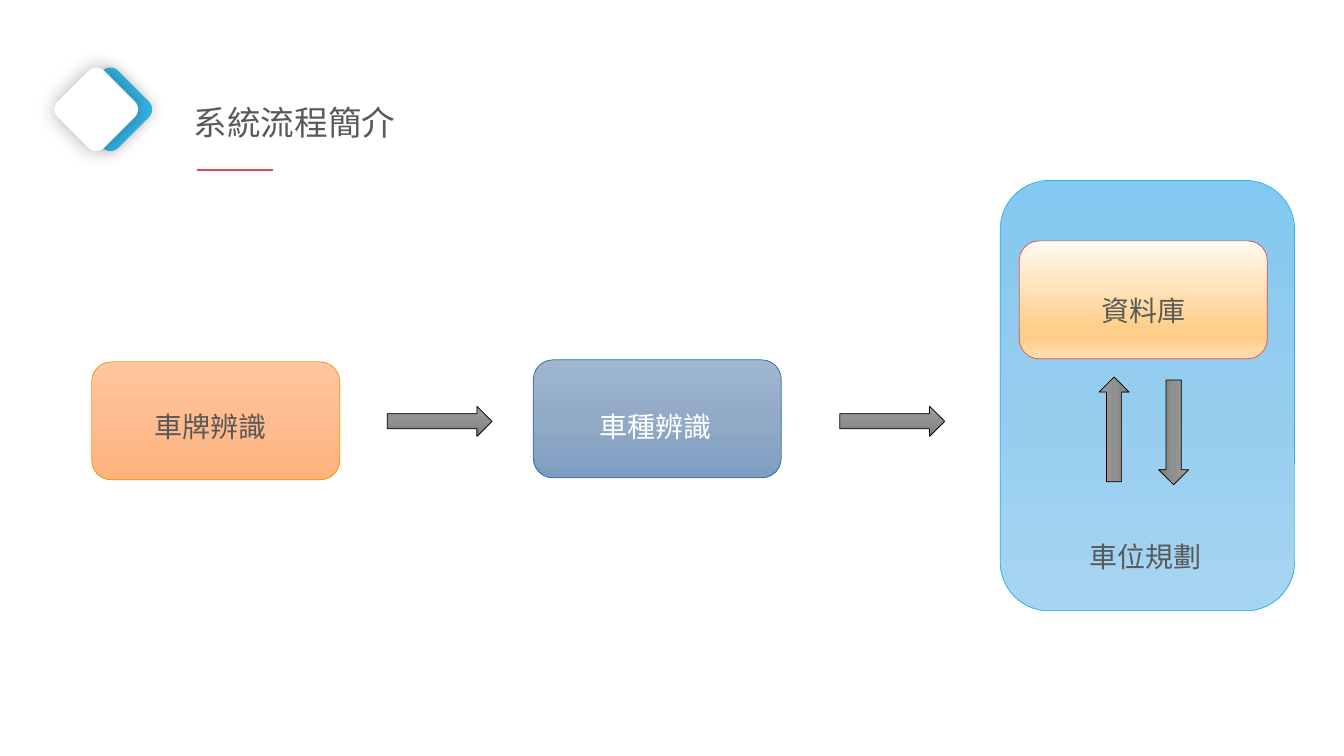
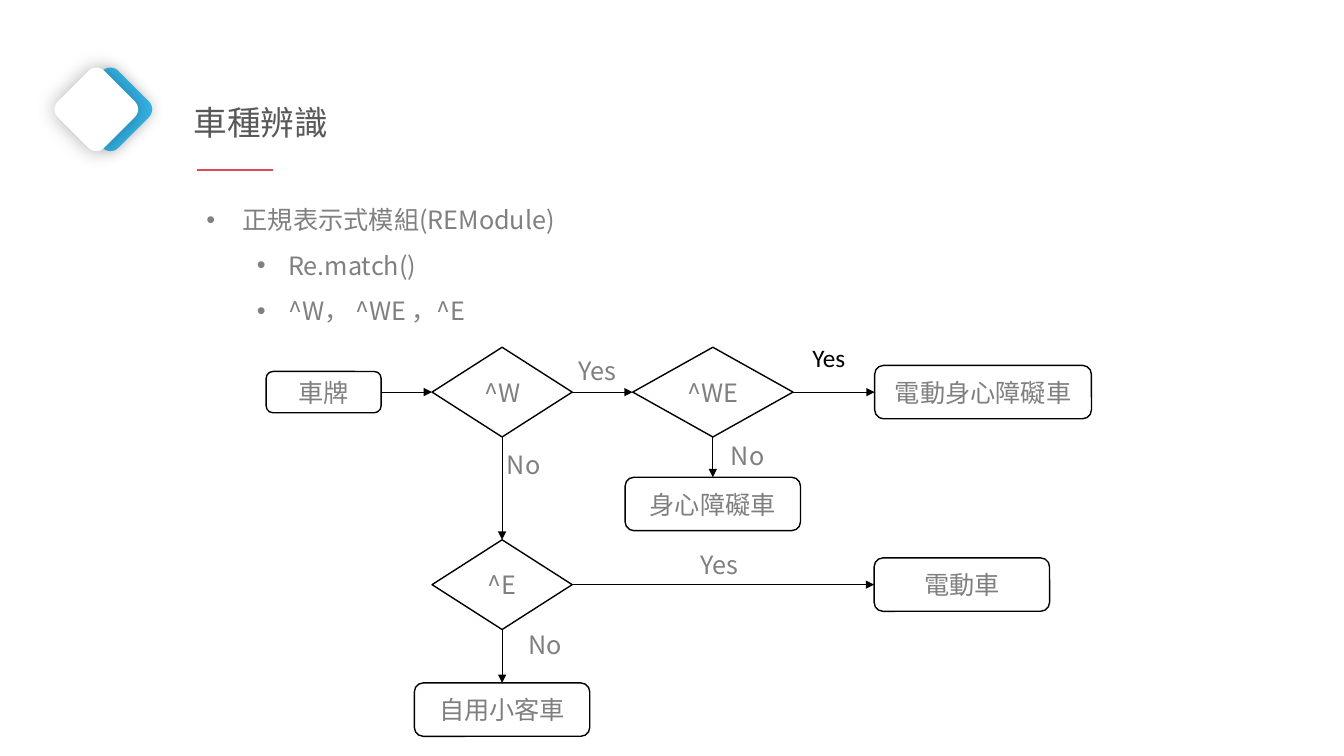
import pptx
import pptx.util
import pptx.dml.color
import pptx.enum.shapes
import pptx.enum.text
import pptx.oxml.ns
from lxml import etree

Inches = pptx.util.Inches
Pt = pptx.util.Pt
qn = pptx.oxml.ns.qn
SHAPES = pptx.enum.shapes.MSO_SHAPE
ALIGN = pptx.enum.text.PP_ALIGN
ANCHOR = pptx.enum.text.MSO_ANCHOR

LATIN = "Calibri"
CJK = "Noto Sans CJK SC"
COLOURS = {
    "text": "595959",
    "bullet": "808080",
    "node": "7F7F7F",
    "black": "000000",
    "white": "FFFFFF",
    "blue": "34B2E4",
    "red": "E14956",
    "orange": "F99302",
    "navy": "2070A1",
}
GRADIENTS = {
    "peach": [(0, "FFC59E"), (50, "FFBC90"), (100, "FFB37C")],
    "steel": [(0, "9FB6D1"), (50, "92AAC6"), (100, "7D9EC2")],
    "grey": [(0, "9D9D9D"), (50, "909090"), (100, "7C7C7C")],
    "sky": [(0, "82C8F0"), (50, "95CDEE"), (100, "A6D5F2")],
    "cream": [(0, "FFFAF2"), (74, "FECF8B"), (83, "FECF8B"), (100, "FEDFB2")],
}
TOP, LEFT, BOTTOM, RIGHT = range(4)


def colour(name):
    return pptx.dml.color.RGBColor.from_string(COLOURS[name])


def format_font(para, size, name, tint):
    para.font.size = Pt(size)
    para.font.name = name
    para.font.color.rgb = colour(tint)


def fill_gradient(shape, name):
    shape.fill.gradient()
    shape.fill.gradient_angle = 270
    stops = shape.element.spPr.find(".//" + qn("a:gsLst"))
    for stop in list(stops):
        stops.remove(stop)
    for position, value in GRADIENTS[name]:
        stop = etree.SubElement(stops, qn("a:gs"), pos=str(position * 1000))
        etree.SubElement(stop, qn("a:srgbClr"), val=value)


def add_shape(page, kind, at, fill=None, line=None, width=0.5, rotation=0):
    shape = page.shapes.add_shape(kind, *map(Inches, at))
    shape.shadow.inherit = False
    shape.rotation = rotation
    if fill in GRADIENTS:
        fill_gradient(shape, fill)
    elif fill:
        shape.fill.solid()
        shape.fill.fore_color.rgb = colour(fill)
    else:
        shape.fill.background()
    if line:
        shape.line.color.rgb = colour(line)
        shape.line.width = Pt(width)
    else:
        shape.line.fill.background()
    return shape


def add_glow(shape, opacity, blur):
    effects = shape.element.spPr.find(qn("a:effectLst"))
    shadow = etree.SubElement(effects, qn("a:outerShdw"), blurRad=str(Pt(blur)),
                              dist="0", dir="0", algn="ctr", rotWithShape="0")
    tint = etree.SubElement(shadow, qn("a:srgbClr"), val=COLOURS["black"])
    etree.SubElement(tint, qn("a:alpha"), val=str(opacity * 1000))


def add_line(page, start, end, tint, width):
    line = page.shapes.add_connector(pptx.enum.shapes.MSO_CONNECTOR.STRAIGHT,
                                     *map(Inches, start + end))
    line.line.color.rgb = colour(tint)
    line.line.width = Pt(width)
    etree.SubElement(line.element.spPr, qn("a:effectLst"))
    return line


def add_arrow(page, source, source_site, target, target_site):
    arrow = add_line(page, (0, 0), (0, 0), "black", 0.5)
    arrow.begin_connect(source, source_site)
    arrow.end_connect(target, target_site)
    etree.SubElement(arrow.element.spPr.find(qn("a:ln")), qn("a:tailEnd"), type="triangle")


def add_label(page, text, at, size, font, tint, spacing=1.0, align=ALIGN.LEFT):
    box = page.shapes.add_textbox(*map(Inches, at))
    box.text_frame.word_wrap = False
    para = box.text_frame.paragraphs[0]
    para.text = text
    para.alignment = align
    para.line_spacing = spacing
    format_font(para, size, font, tint)


def add_bullets(page, at, items):
    box = page.shapes.add_textbox(*map(Inches, at))
    frame = box.text_frame
    frame.word_wrap = True
    for index, (level, margin, hanging, spans) in enumerate(items):
        para = frame.paragraphs[0] if index == 0 else frame.add_paragraph()
        para.level = level
        para.line_spacing = 1.5
        properties = para._p.get_or_add_pPr()
        properties.set("marL", str(Inches(margin)))
        properties.set("indent", str(-Inches(hanging)))
        etree.SubElement(properties, qn("a:buFont"), typeface="Arial")
        etree.SubElement(properties, qn("a:buChar"), char="•")
        format_font(para, 18, CJK, "bullet")
        for text, font in spans:
            span = para.add_run()
            span.text = text
            span.font.name = font


def add_page(deck, title):
    page = deck.slides.add_slide(deck.slide_layouts[5])
    heading = page.shapes.title
    heading.left, heading.top, heading.width, heading.height = map(Inches, (1.82, 0.76, 3.03, 0.64))
    frame = heading.text_frame
    frame.auto_size = pptx.enum.text.MSO_AUTO_SIZE.NONE
    frame.vertical_anchor = ANCHOR.TOP
    frame.word_wrap = True
    para = frame.paragraphs[0]
    para.text = title
    para.alignment = ALIGN.LEFT
    para.line_spacing = 1.5
    format_font(para, 24, LATIN, "text")
    add_line(page, (1.95, 1.69), (2.71, 1.69), "red", 1.5)
    for left, fill, opacity, blur in ((0.77, "blue", 20, 10), (0.63, "white", 30, 15)):
        tile = add_shape(page, SHAPES.ROUNDED_RECTANGLE, (left, 0.76, 0.65, 0.65), fill, rotation=45)
        add_glow(tile, opacity, blur)
    return page


def add_node(page, text, kind, centre_x, centre_y, width, height):
    at = (centre_x - width / 2, centre_y - height / 2, width, height)
    node = add_shape(page, kind, at, line="black", width=1)
    node.text_frame.word_wrap = True
    node.text_frame.vertical_anchor = ANCHOR.MIDDLE
    para = node.text_frame.paragraphs[0]
    para.text = text
    para.alignment = ALIGN.CENTER
    format_font(para, 18, CJK, "node")
    return node


def build_system_flow(deck):
    page = add_page(deck, "系統流程簡介")
    add_shape(page, SHAPES.ROUNDED_RECTANGLE, (9.92, 1.79, 2.92, 4.27), "sky", "blue")
    for left, top, fill, line in ((0.91, 3.59, "peach", "orange"),
                                  (5.29, 3.57, "steel", "navy"),
                                  (10.11, 2.39, "cream", "red")):
        add_shape(page, SHAPES.ROUNDED_RECTANGLE, (left, top, 2.46, 1.17), fill, line)
    for left, top, rotation in ((3.84, 4.03, 0), (8.33, 4.03, 0),
                                (10.53, 4.11, 270), (11.12, 4.14, 90)):
        add_shape(page, SHAPES.RIGHT_ARROW, (left, top, 1.04, 0.3), "grey", "black", rotation=rotation)
    for text, left, top, tint, align in (("車牌辨識", 1.43, 3.85, "text", ALIGN.LEFT),
                                         ("車種辨識", 5.85, 3.85, "white", ALIGN.LEFT),
                                         ("車位規劃", 10.71, 5.14, "text", ALIGN.LEFT),
                                         ("資料庫", 10.68, 2.7, "text", ALIGN.CENTER)):
        add_label(page, text, (left, top, 1.33, 0.55), 20, LATIN, tint, 1.5, align)


def build_vehicle_types(deck):
    page = add_page(deck, "車種辨識")
    add_bullets(page, (1.95, 1.83, 3.86, 1.41), [
        (0, 0.36, 0.36, [("正規表示式模組", LATIN), ("(REModule)", CJK)]),
        (1, 0.81, 0.31, [("Re.match()", CJK)]),
        (1, 0.81, 0.31, [("^W， ^WE ，^E", CJK)]),
    ])
    first_column, second_column = 4.98, 7.07
    upper_row, lower_row = 3.89, 5.8
    box, decision = SHAPES.ROUNDED_RECTANGLE, SHAPES.FLOWCHART_DECISION
    plate = add_node(page, "車牌", box, 3.21, upper_row, 1.14, 0.41)
    starts_w = add_node(page, "^W", decision, first_column, upper_row, 1.39, 0.89)
    starts_we = add_node(page, "^WE", decision, second_column, upper_row, 1.59, 0.89)
    starts_e = add_node(page, "^E", decision, first_column, lower_row, 1.39, 0.89)
    disabled = add_node(page, "身心障礙車", box, second_column, 5, 1.74, 0.53)
    electric_disabled = add_node(page, "電動身心障礙車", box, 9.75, upper_row, 2.15, 0.53)
    electric = add_node(page, "電動車", box, 9.54, lower_row, 1.74, 0.53)
    private = add_node(page, "自用小客車", box, first_column, 7.04, 1.74, 0.53)

    for source, target in ((plate, starts_w), (starts_w, starts_we),
                           (starts_we, electric_disabled), (starts_e, electric)):
        add_arrow(page, source, RIGHT, target, LEFT)
    for source, target in ((starts_w, starts_e), (starts_we, disabled), (starts_e, private)):
        add_arrow(page, source, BOTTOM, target, TOP)

    for text, left, top, width in (("Yes", 5.64, 3.48, 0.59), ("Yes", 6.85, 5.4, 0.59),
                                   ("No", 5.14, 6.19, 0.57), ("No", 7.15, 4.32, 0.57),
                                   ("No", 4.93, 4.41, 0.57)):
        add_label(page, text, (left, top, width, 0.4), 18, CJK, "node")
    add_label(page, "Yes", (7.96, 3.35, 0.53, 0.4), 18, LATIN, "black")


def main():
    deck = pptx.Presentation()
    deck.slide_width = Inches(13.33)
    deck.slide_height = Inches(7.5)
    build_system_flow(deck)
    build_vehicle_types(deck)
    deck.save("out.pptx")


if __name__ == "__main__":
    main()
